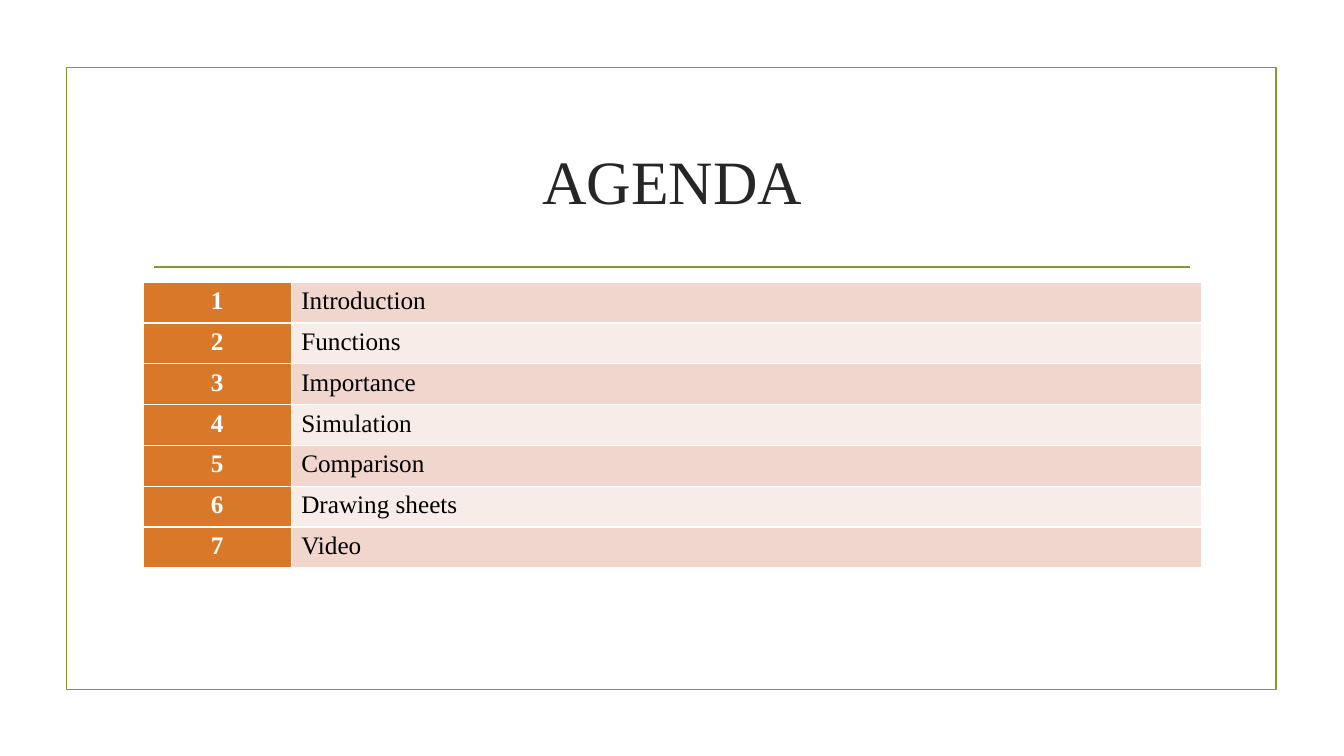
from dataclasses import dataclass

from lxml import etree
from pptx import Presentation
from pptx.dml.color import RGBColor
from pptx.enum.shapes import MSO_CONNECTOR, MSO_SHAPE
from pptx.enum.text import MSO_ANCHOR, PP_ALIGN
from pptx.oxml.ns import qn
from pptx.slide import Slide
from pptx.table import _Cell
from pptx.text.text import TextFrame
from pptx.util import Pt

PX = 4572  # EMU per px, 200 px to the inch
FONT = "Times New Roman"
GREEN = RGBColor(0x83, 0x99, 0x2A)
ORANGE = RGBColor(0xD9, 0x78, 0x28)
ROSE = RGBColor(0xF1, 0xD6, 0xCD)
PALE = RGBColor(0xF8, 0xEC, 0xE8)
INK = RGBColor(0x26, 0x26, 0x26)
BLACK = RGBColor(0, 0, 0)
WHITE = RGBColor(0xFF, 0xFF, 0xFF)
LEFT, CENTER = PP_ALIGN.LEFT, PP_ALIGN.CENTER
MIDDLE = MSO_ANCHOR.MIDDLE
RECT, STRAIGHT = MSO_SHAPE.RECTANGLE, MSO_CONNECTOR.STRAIGHT


@dataclass(frozen=True)
class Box:
    x: int
    y: int
    w: int
    h: int

    def emu(self) -> tuple[int, ...]:
        return tuple(n * PX for n in (self.x, self.y, self.w, self.h))


@dataclass(frozen=True)
class Column:
    width: int
    fills: tuple[RGBColor, ...]  # taken in turn, row by row
    color: RGBColor
    bold: bool
    align: PP_ALIGN


FRAME = Box(132, 134, 2400, 1234)
TITLE = Box(284, 214, 2100, 286)
RULE = Box(306, 530, 2056, 0)
TABLE = Box(284, 560, 2100, 567)
COLUMNS = (
    Column(294, (ORANGE,), WHITE, True, CENTER),
    Column(1806, (ROSE, PALE), BLACK, False, LEFT),
)
TOPICS = ("Introduction", "Functions", "Importance", "Simulation",
          "Comparison", "Drawing sheets", "Video")


def write(frame: TextFrame, text: str, *, size: int, color: RGBColor,
          bold: bool = False, align: PP_ALIGN = LEFT) -> None:
    para = frame.paragraphs[0]
    para.alignment = align
    run = para.add_run()
    run.text = text
    font = run.font
    font.name, font.size, font.bold = FONT, Pt(size), bold
    font.color.rgb = color


def edge(cell: _Cell) -> None:
    """Give the cell thin white borders; call before filling it."""
    props = cell._tc.get_or_add_tcPr()
    for side in ("a:lnL", "a:lnR", "a:lnT", "a:lnB"):
        line = etree.SubElement(props, qn(side), w=str(Pt(1)))
        fill = etree.SubElement(line, qn("a:solidFill"))
        etree.SubElement(fill, qn("a:srgbClr"), val=str(WHITE))


def add_frame(slide: Slide) -> None:
    shape = slide.shapes.add_shape(RECT, *FRAME.emu())
    shape.shadow.inherit = False
    shape.fill.background()
    shape.line.color.rgb = GREEN
    shape.line.width = Pt(1.25)


def add_rule(slide: Slide) -> None:
    x, y, w, h = RULE.emu()
    rule = slide.shapes.add_connector(STRAIGHT, x, y, x + w, y + h)
    rule.line.color.rgb = GREEN
    rule.line.width = Pt(1.25)
    etree.SubElement(rule._element.spPr, qn("a:effectLst"))


def add_title(slide: Slide) -> None:
    title = slide.shapes.title
    title.left, title.top, title.width, title.height = TITLE.emu()
    title.text_frame.vertical_anchor = MIDDLE
    write(title.text_frame, "AGENDA", size=44, color=INK, align=CENTER)


def add_agenda(slide: Slide) -> None:
    table = slide.shapes.add_table(len(TOPICS), len(COLUMNS), *TABLE.emu()).table
    table.first_row = table.horz_banding = False
    for i, col in enumerate(COLUMNS):
        table.columns[i].width = col.width * PX
    for r, topic in enumerate(TOPICS):
        for c, (col, text) in enumerate(zip(COLUMNS, (str(r + 1), topic))):
            cell = table.cell(r, c)
            edge(cell)
            cell.fill.solid()
            cell.fill.fore_color.rgb = col.fills[r % len(col.fills)]
            write(cell.text_frame, text, size=18, color=col.color,
                  bold=col.bold, align=col.align)


def main() -> None:
    deck = Presentation()
    deck.slide_width, deck.slide_height = 2667 * PX, 1500 * PX
    slide = deck.slides.add_slide(deck.slide_layouts[5])
    add_frame(slide)
    add_rule(slide)
    add_title(slide)
    add_agenda(slide)
    deck.save("out.pptx")


if __name__ == "__main__":
    main()
